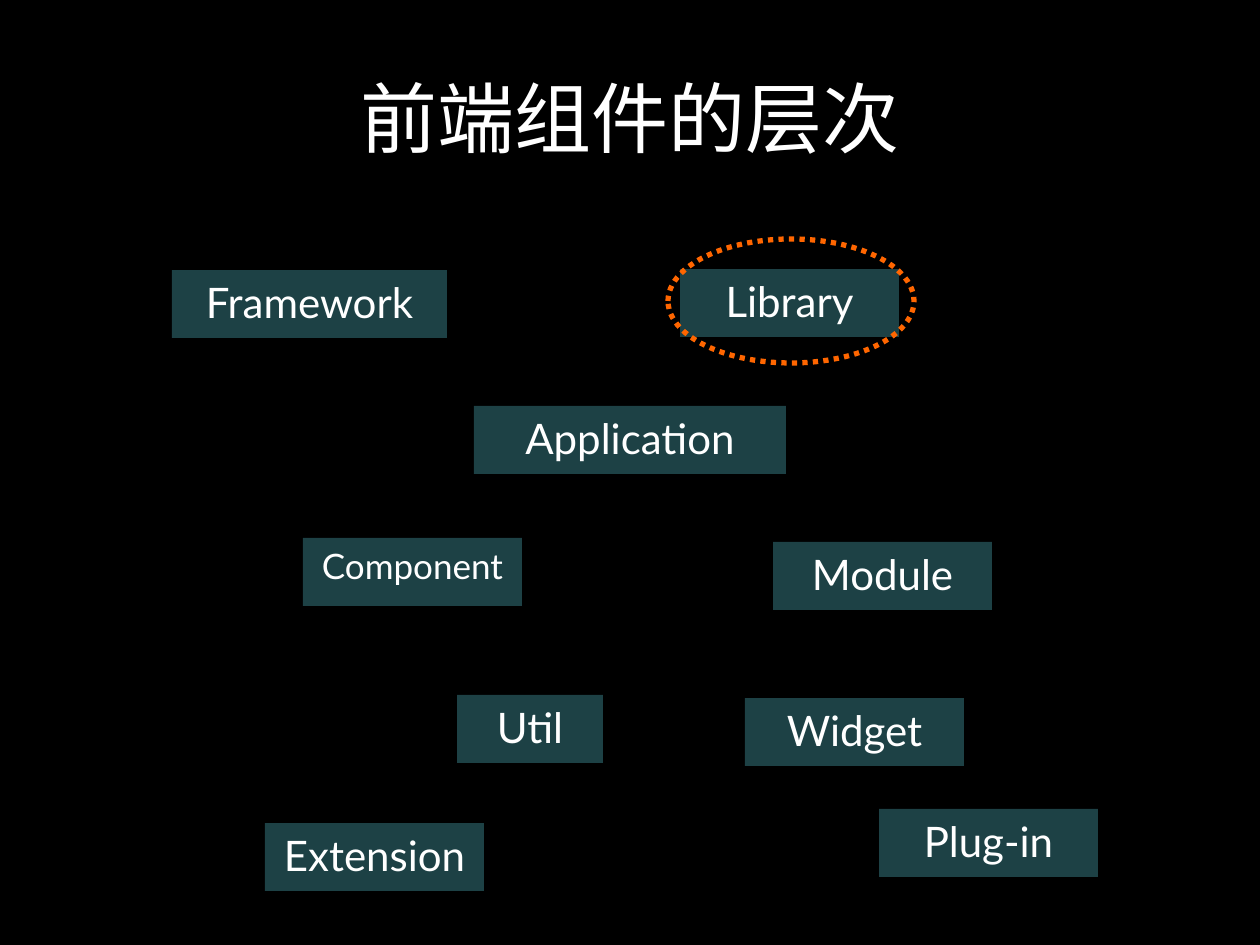
from dataclasses import dataclass

from lxml.etree import SubElement
from pptx import Presentation
from pptx.dml.color import RGBColor
from pptx.enum.dml import MSO_LINE_DASH_STYLE as Dash
from pptx.enum.shapes import MSO_SHAPE as Shape
from pptx.enum.text import MSO_ANCHOR as Anchor, PP_ALIGN as Align
from pptx.oxml.ns import qn
from pptx.util import Pt

PX = 914400 / 126  # EMU in one px
SLIDE_SIZE = 1260, 945
TITLE_ONLY = 5


def emu(*lengths):
    return [round(length * PX) for length in lengths]


@dataclass(frozen=True)
class Theme:
    font: str = "Lato"
    background: RGBColor = RGBColor(0x00, 0x00, 0x00)
    text: RGBColor = RGBColor(0xFF, 0xFF, 0xFF)
    box: RGBColor = RGBColor(0x45, 0x97, 0xA0)
    box_opacity: int = 43
    highlight: RGBColor = RGBColor(0xFF, 0x66, 0x00)
    highlight_width: int = 3
    title_size: int = 44
    label_size: int = 24
    small_label_size: int = 20


class SlideBuilder:
    def __init__(self, slide, theme):
        self.slide, self.theme = slide, theme
        fill = slide.background.fill
        fill.solid()
        fill.fore_color.rgb = theme.background

    def set_text(self, shape, text, size, anchor):
        frame = shape.text_frame
        frame.text = text
        frame.word_wrap = True
        frame.vertical_anchor = anchor
        paragraph = frame.paragraphs[0]
        paragraph.alignment = Align.CENTER
        font = paragraph.runs[0].font
        font.name, font.size = self.theme.font, Pt(size)
        font.color.rgb = self.theme.text

    def title(self, text, left, top, width, height):
        title = self.slide.shapes.title
        title.left, title.top, title.width, title.height = emu(left, top, width, height)
        self.set_text(title, text, self.theme.title_size, Anchor.MIDDLE)

    def box(self, text, left, top, width, height, size):
        box = self.slide.shapes.add_shape(Shape.RECTANGLE, *emu(left, top, width, height))
        box.shadow.inherit = False
        box.line.fill.background()
        box.fill.solid()
        box.fill.fore_color.rgb = self.theme.box
        # Transparency of the fill
        color = box.element.spPr.find(qn("a:solidFill"))[0]
        SubElement(color, qn("a:alpha")).set("val", str(self.theme.box_opacity * 1000))
        self.set_text(box, text, size, Anchor.TOP)

    def ring(self, left, top, width, height):
        ring = self.slide.shapes.add_shape(Shape.OVAL, *emu(left, top, width, height))
        ring.shadow.inherit = False
        ring.fill.background()
        ring.line.color.rgb = self.theme.highlight
        ring.line.width = Pt(self.theme.highlight_width)
        ring.line.dash_style = Dash.ROUND_DOT  # stored as sysDot


def main():
    theme = Theme()
    presentation = Presentation()
    presentation.slide_width, presentation.slide_height = emu(*SLIDE_SIZE)
    layout = presentation.slide_layouts[TITLE_ONLY]
    builder = SlideBuilder(presentation.slides.add_slide(layout), theme)

    builder.title("前端组件的层次", 63, 38, 1134, 158)

    # Kinds of component: label, left, top, width
    box_height, usual_width = 68, 219
    components = [
        ("Library", 680, 269, usual_width),
        ("Framework", 172, 270, 275),
        ("Application", 474, 406, 312),
        ("Module", 773, 542, usual_width),
        ("Extension", 265, 823, usual_width),
        ("Plug-in", 879, 809, usual_width),
        ("Widget", 745, 698, usual_width),
        ("Util", 457, 695, 146),
    ]
    for label, left, top, width in components:
        builder.box(label, left, top, width, box_height, theme.label_size)
    builder.box("Component", 303, 538, usual_width, box_height, theme.small_label_size)

    # Highlight around Library
    builder.ring(668, 239, 246, 124)

    presentation.save("out.pptx")


if __name__ == "__main__":
    main()
